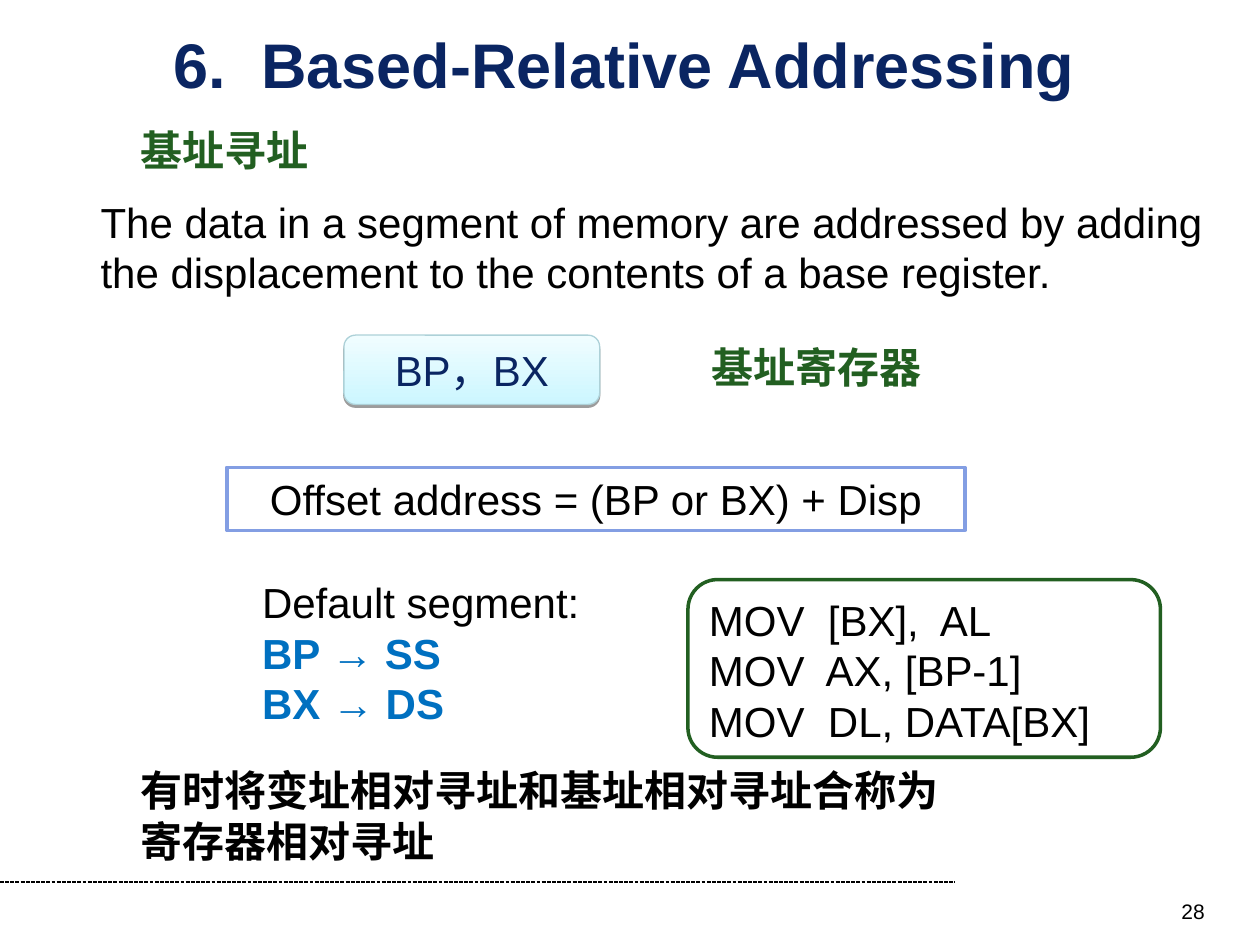
import pptx
import pptx.util
import pptx.dml.color
import pptx.enum.dml
import pptx.enum.shapes
import pptx.enum.text
from lxml import etree

Inches, Pt = pptx.util.Inches, pptx.util.Pt
Align = pptx.enum.text.PP_ALIGN
Anchor = pptx.enum.text.MSO_ANCHOR
Kind = pptx.enum.shapes.MSO_SHAPE
NS = "http://schemas.openxmlformats.org/drawingml/2006/main"

NAVY, GREEN, BLUE, BLACK = "0A2562", "225F21", "0070C0", "000000"
BOLD = {"bold": True}


def tint(color, code):
    color.rgb = pptx.dml.color.RGBColor.from_string(code)


class Page:
    """Holds the text style and the current slide."""

    base = {"name": "Arial", "size": Pt(24), "bold": False}

    def __init__(self, deck):
        self.slide = deck.slides.add_slide(deck.slide_layouts[5])
        self.shapes = self.slide.shapes

    def fill_text(self, frame, lines, color=BLACK, align=Align.LEFT,
                  anchor=Anchor.TOP, pad=(0.1, 0.05, 0.1, 0.05), **font):
        """Fill a frame; a line is a string or a list of (text, format) runs."""
        frame.word_wrap = True
        frame.vertical_anchor = anchor
        for side, gap in zip(("left", "top", "right", "bottom"), pad):
            setattr(frame, "margin_" + side, Inches(gap))
        for i, line in enumerate(lines):
            para = frame.add_paragraph() if i else frame.paragraphs[0]
            para.alignment = align
            for text, extra in [(line, {})] if isinstance(line, str) else line:
                run = para.add_run()
                run.text = text
                look = {**self.base, "color": color, **font, **extra}
                tint(run.font.color, look.pop("color"))
                for key, value in look.items():
                    setattr(run.font, key, value)

    def title(self, at, text, **style):
        head = self.shapes.title
        head.left, head.top, head.width, head.height = map(Inches, at)
        self.fill_text(head.text_frame, [text], **style)

    def text(self, at, *lines, **style):
        box = self.shapes.add_textbox(*map(Inches, at))
        self.fill_text(box.text_frame, lines, **style)

    def panel(self, kind, at, edge, width, *lines, fill="FFFFFF", **style):
        shape = self.shapes.add_shape(kind, *map(Inches, at))
        shape.shadow.inherit = False
        shape.fill.solid()
        tint(shape.fill.fore_color, fill)
        tint(shape.line.color, edge)
        shape.line.width = Pt(width)
        self.fill_text(shape.text_frame, lines, **style)
        return shape

    def fade(self, shape, low, high):
        """Give a shape a gradient that runs from its bottom to its top."""
        shape.fill.gradient()
        shape.fill.gradient_angle = 90
        for stop, code in zip(shape.fill.gradient_stops, (low, high)):
            tint(stop.color, code)

    def shade(self, shape, drop, alpha):
        """Cast a sharp black shadow straight down."""
        glow = shape._element.spPr.find(f"{{{NS}}}effectLst")
        cast = etree.SubElement(glow, f"{{{NS}}}outerShdw", blurRad="0",
                                dist=str(Pt(drop)), dir="5400000", rotWithShape="0")
        ink = etree.SubElement(cast, f"{{{NS}}}srgbClr", val=BLACK)
        etree.SubElement(ink, f"{{{NS}}}alpha", val=str(alpha * 1000))

    def rule(self, *ends):
        line = self.shapes.add_connector(
            pptx.enum.shapes.MSO_CONNECTOR.STRAIGHT, *map(Inches, ends))
        tint(line.line.color, BLACK)
        line.line.width = Pt(0.75)
        line.line.dash_style = pptx.enum.dml.MSO_LINE.SQUARE_DOT
        etree.SubElement(line._element.spPr, f"{{{NS}}}effectLst")


def main():
    deck = pptx.Presentation()
    deck.slide_width, deck.slide_height = Inches(10), Inches(7.5)
    page = Page(deck)

    page.rule(0, 7, 7.58, 7)
    page.title((0.5, 0.25, 9.05, 0.5), "6.  Based-Relative Addressing",
               color=NAVY, align=Align.CENTER, anchor=Anchor.MIDDLE,
               pad=(0, 0, 0.14, 0), size=Pt(36), **BOLD)
    page.text((7.33, 7.08, 2.33, 0.27), "28", align=Align.RIGHT, size=Pt(12))

    page.text((1.02, 0.94, 2.97, 0.5), "基址寻址", color=GREEN, **BOLD)
    page.text((0.7, 1.51, 8.96, 0.9),
              "The data in a segment of memory are addressed by adding "
              "the displacement to the contents of a base register.")

    base = page.panel(Kind.ROUNDED_RECTANGLE, (2.73, 2.66, 2.03, 0.55),
                      "ADD1D8", 0.75, "BP，BX", color=NAVY, align=Align.CENTER)
    page.fade(base, "CCF6FF", "F0FDFF")
    page.shade(base, 1.6, 38)
    page.text((5.55, 2.66, 2.5, 0.5), "基址寄存器", color=GREEN, **BOLD)

    page.panel(Kind.RECTANGLE, (1.8, 3.71, 5.86, 0.5), "839EE3", 2,
               "Offset address = (BP or BX) + Disp", align=Align.CENTER)

    key = {"color": BLUE, **BOLD}
    page.text((1.8, 4.53, 3.2, 1.3), "Default segment:",
              [("BP → SS", key)],
              [("BX ", key), ("→ ", {"color": BLUE}), ("DS", key)],
              pad=(0.28, 0.05, 0.1, 0.05))
    page.panel(Kind.ROUNDED_RECTANGLE, (5.46, 4.6, 3.75, 1.41), GREEN, 2,
               "MOV  [BX],  AL", "MOV  AX, [BP-1]", "MOV  DL, DATA[BX]")

    page.text((1.02, 6.02, 6.64, 0.9),
              "有时将变址相对寻址和基址相对寻址合称为寄存器相对寻址", **BOLD)
    deck.save("out.pptx")


if __name__ == "__main__":
    main()
